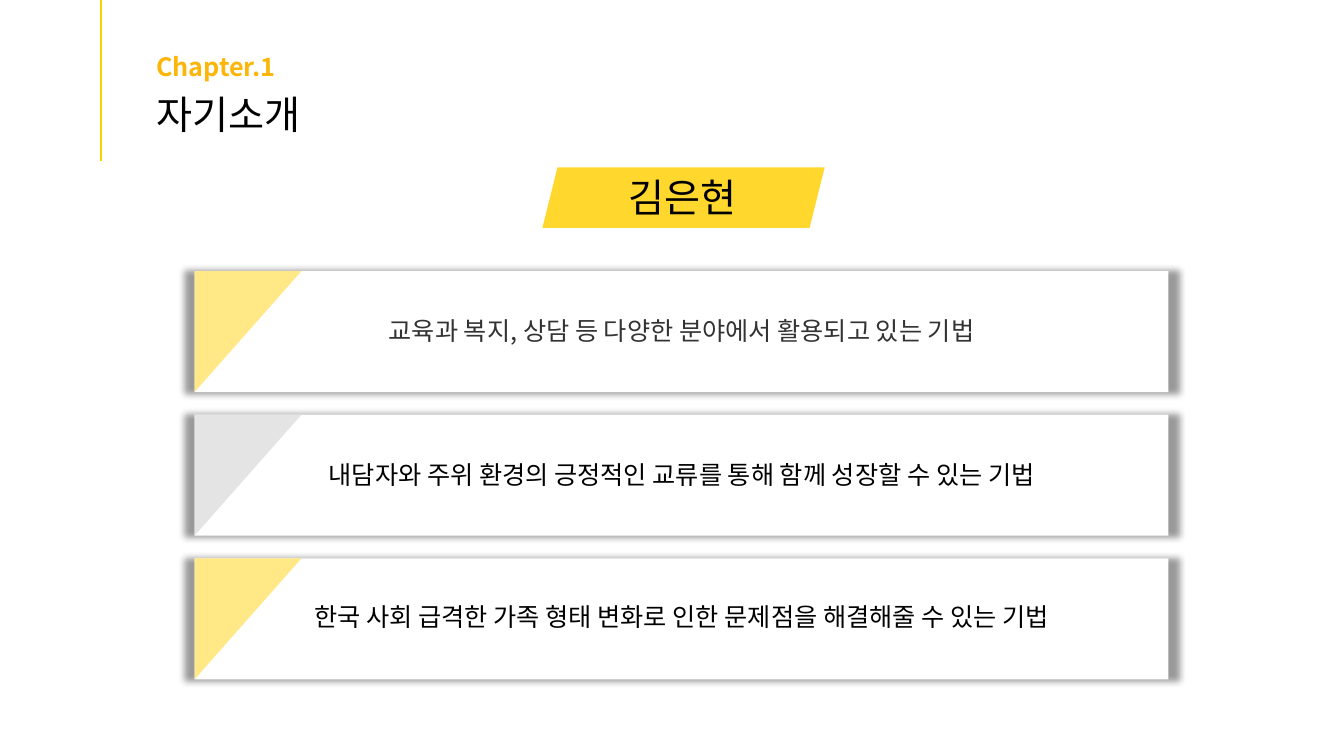
from lxml import etree
from pptx import Presentation
from pptx.dml.color import RGBColor
from pptx.enum.shapes import MSO_CONNECTOR, MSO_SHAPE
from pptx.enum.text import MSO_AUTO_SIZE, PP_ALIGN
from pptx.oxml.ns import qn
from pptx.util import Inches, Pt

STRAIGHT = MSO_CONNECTOR.STRAIGHT
RECTANGLE = MSO_SHAPE.RECTANGLE
RIGHT_TRIANGLE = MSO_SHAPE.RIGHT_TRIANGLE
PARALLELOGRAM = MSO_SHAPE.PARALLELOGRAM
GROW = MSO_AUTO_SIZE.SHAPE_TO_FIT_TEXT
LEFT, CENTER = PP_ALIGN.LEFT, PP_ALIGN.CENTER

BLACK = RGBColor(0x00, 0x00, 0x00)
DARK_GRAY = RGBColor(0x33, 0x33, 0x33)
LIGHT_GRAY = RGBColor(0xE4, 0xE4, 0xE4)
WHITE = RGBColor(0xFF, 0xFF, 0xFF)
ORANGE = RGBColor(0xFB, 0xB6, 0x09)
LINE_YELLOW = RGBColor(0xFF, 0xCF, 0x01)
BANNER_YELLOW = RGBColor(0xFF, 0xD7, 0x2D)
PALE_YELLOW = RGBColor(0xFF, 0xE8, 0x85)

FONT = "Noto Sans CJK KR"
CARD_LEFT, CARD_TOP = 1.93, 2.69
CARD_WIDTH, CARD_HEIGHT = 9.66, 1.2
CARD_STEP = 1.425
CORNER_WIDTH = 1.06
CARDS = [
    ("교육과 복지, 상담 등 다양한 분야에서 활용되고 있는 기법", DARK_GRAY, PALE_YELLOW, 3.08),
    ("내담자와 주위 환경의 긍정적인 교류를 통해 함께 성장할 수 있는 기법", BLACK, LIGHT_GRAY, 4.51),
    ("한국 사회 급격한 가족 형태 변화로 인한 문제점을 해결해줄 수 있는 기법", BLACK, PALE_YELLOW, 5.92),
]


def add_filled_shape(slide, kind, left, top, width, height, color):
    shape = slide.shapes.add_shape(kind, Inches(left), Inches(top), Inches(width), Inches(height))
    shape.shadow.inherit = False
    shape.fill.solid()
    shape.fill.fore_color.rgb = color
    shape.line.fill.background()
    return shape


def add_text(slide, text, left, top, width, height, size, color, alignment=LEFT, bold=False):
    box = slide.shapes.add_textbox(Inches(left), Inches(top), Inches(width), Inches(height))
    frame = box.text_frame
    frame.word_wrap = True
    frame.auto_size = GROW
    paragraph = frame.paragraphs[0]
    paragraph.alignment = alignment
    run = paragraph.add_run()
    run.text = text
    font_format = {"name": FONT, "size": Pt(size), "bold": bold}
    for name, value in font_format.items():
        setattr(run.font, name, value)
    run.font.color.rgb = color
    east_asian = etree.SubElement(run.font._element, qn("a:ea"))
    east_asian.set("typeface", FONT)


def add_card_shadow(shape):
    effects = shape._element.spPr.find(qn("a:effectLst"))
    shadow = etree.SubElement(effects, qn("a:outerShdw"))
    shadow_format = {
        "blurRad": str(Pt(5)),
        "sx": "102000",
        "sy": "102000",
        "algn": "ctr",
        "rotWithShape": "0",
    }
    for name, value in shadow_format.items():
        shadow.set(name, value)
    color = etree.SubElement(shadow, qn("a:srgbClr"), val=str(BLACK))
    etree.SubElement(color, qn("a:alpha"), val="40000")


def add_card(slide, top, text, text_color, corner_color, text_top):
    card = add_filled_shape(slide, RECTANGLE, CARD_LEFT, top, CARD_WIDTH, CARD_HEIGHT, WHITE)
    add_card_shadow(card)
    corner = add_filled_shape(
        slide, RIGHT_TRIANGLE, CARD_LEFT, top, CORNER_WIDTH, CARD_HEIGHT, corner_color
    )
    corner._element.spPr.get_or_add_xfrm().set("flipV", "1")
    add_text(slide, text, CARD_LEFT, text_top, CARD_WIDTH, 0.4, 18, text_color, CENTER)


def add_vertical_line(slide, left, top, bottom):
    line = slide.shapes.add_connector(
        STRAIGHT, Inches(left), Inches(top), Inches(left), Inches(bottom)
    )
    line.line.color.rgb = LINE_YELLOW
    line.line.width = Pt(1.5)
    etree.SubElement(line._element.spPr, qn("a:effectLst"))


def main():
    presentation = Presentation()
    presentation.slide_width = Inches(13.33)
    presentation.slide_height = Inches(7.5)
    slide = presentation.slides.add_slide(presentation.slide_layouts[6])

    add_filled_shape(slide, PARALLELOGRAM, 5.38, 1.66, 2.8, 0.6, BANNER_YELLOW)
    add_text(slide, "Chapter.1", 1.45, 0.46, 5.51, 0.4, 18, ORANGE, bold=True)
    add_text(slide, "자기소개", 1.45, 0.85, 6.67, 0.57, 28, BLACK)
    add_vertical_line(slide, 1, 0, 1.6)
    for index, card in enumerate(CARDS):
        add_card(slide, CARD_TOP + index * CARD_STEP, *card)
    add_text(slide, "김은현", 1.94, 1.67, CARD_WIDTH, 0.57, 28, BLACK, CENTER)

    presentation.save("out.pptx")


if __name__ == "__main__":
    main()
